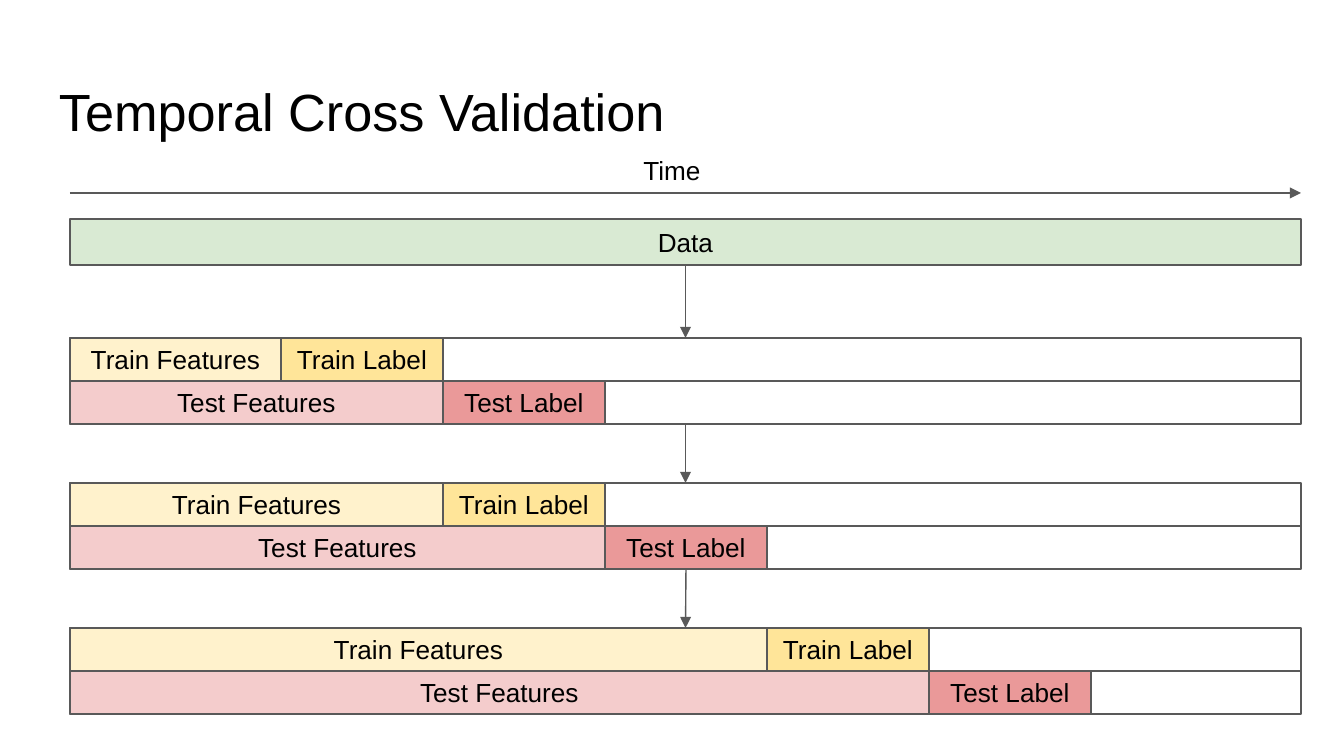
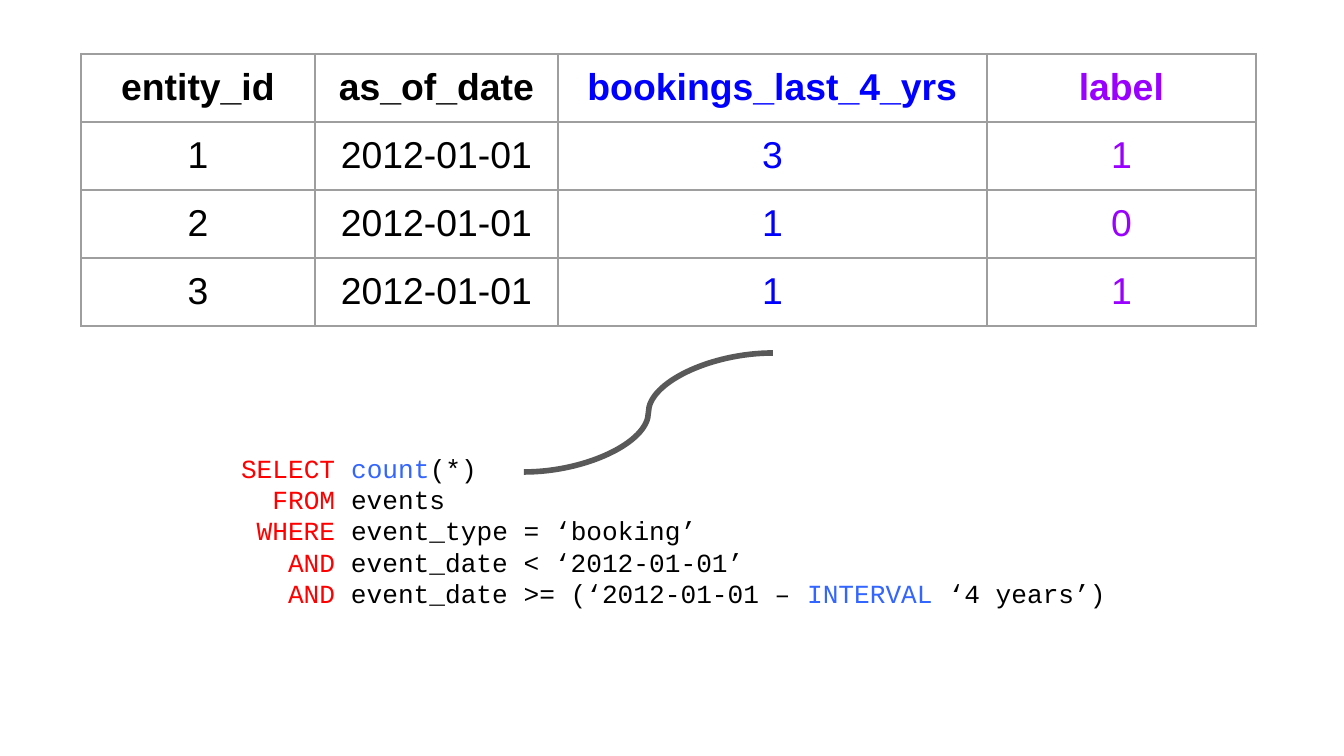
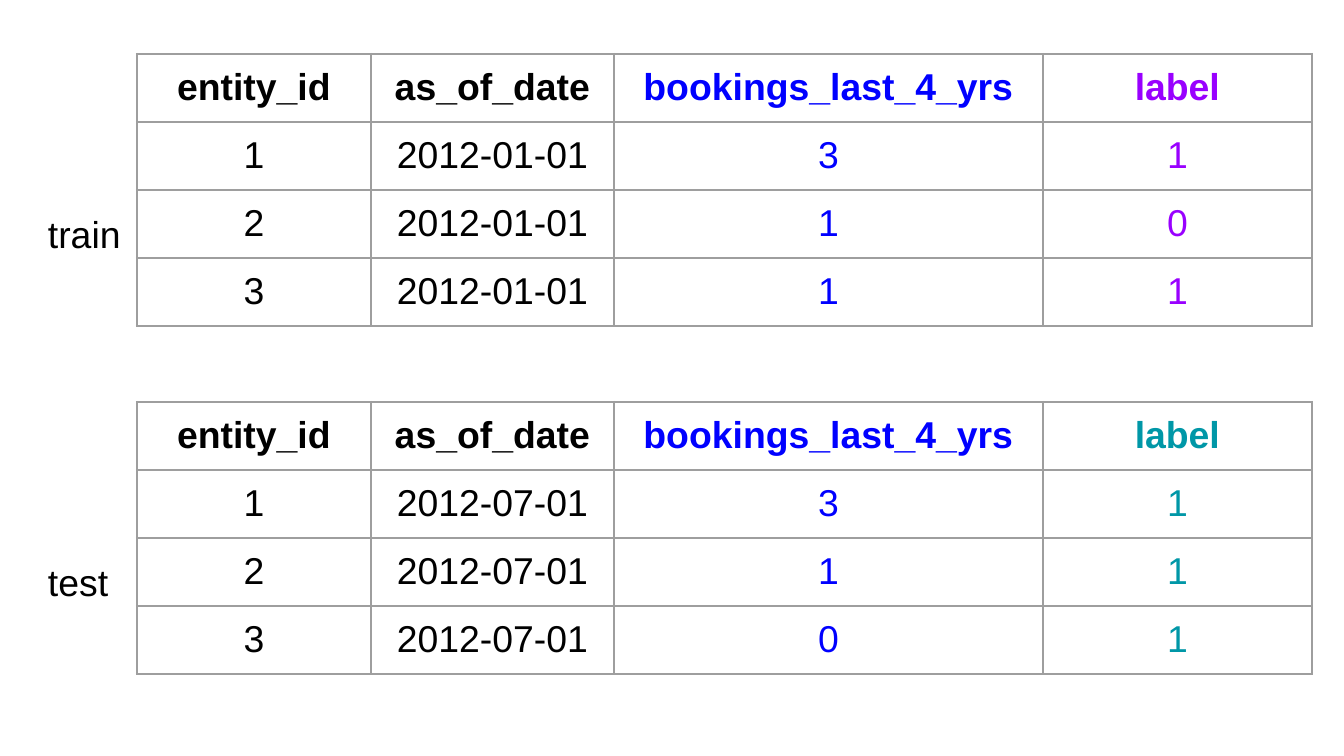
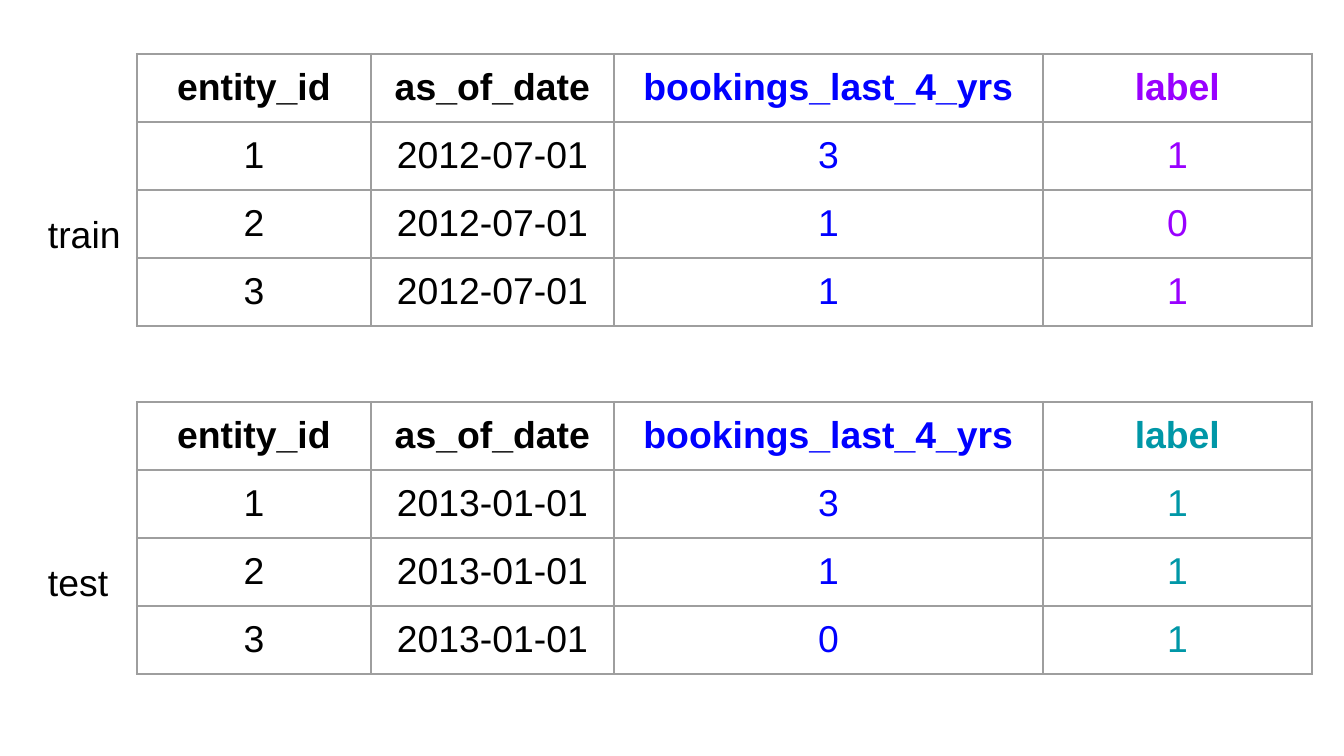
from pptx import Presentation
from pptx.dml.color import RGBColor
from pptx.enum.shapes import MSO_CONNECTOR as CONN, MSO_SHAPE as SHAPE
from pptx.enum.text import MSO_ANCHOR as ANCHOR, MSO_AUTO_SIZE as AUTO, PP_ALIGN as ALIGN
from pptx.oxml.ns import qn
from pptx.util import Pt
from lxml.etree import SubElement

PX = 914400 / 134.4
BLACK, WHITE, GRAY, BORDER = "000000", "FFFFFF", "595959", "9E9E9E"
BLUE, PURPLE, TEAL = "0000FF", "9900FF", "0097A7"
KEYWORD, FUNCTION = "FF0000", "3366FF"
DATA, TRAIN, TRAIN_LABEL = "D9EAD3", "FFF2CC", "FFE599"
TEST, TEST_LABEL = "F4CCCC", "EA9999"

INSET = 13
LEFT, WIDTH = 70, 1231
BAR_H, LABEL_W = 43, 162
FOLD_TOP, FOLD_STEP = 338, 145
LABEL_STARTS = [281, 443, 767]

COLUMNS = [("entity_id", 234), ("as_of_date", 243),
           ("bookings_last_4_yrs", 429), ("label", 269)]
ROW_H = 68
TABLE_TOPS = [54, 402]
TRAIN_ROWS = [(3, 1), (1, 0), (1, 1)]
TEST_ROWS = [(3, 1), (1, 1), (0, 1)]

CODE_SIZE = 14
CODE_CHAR = 0.6 * CODE_SIZE
QUERY = [
    ("SELECT", [("count", FUNCTION), ("(*)", BLACK)]),
    ("FROM", [("events", BLACK)]),
    ("WHERE", [("event_type = ‘booking’", BLACK)]),
    ("AND", [("event_date < ‘2012-01-01’", BLACK)]),
    ("AND", [("event_date >= (‘2012-01-01 – ", BLACK), ("INTERVAL", FUNCTION),
             (" ‘4 years’)", BLACK)]),
]


def emu(*lengths):
    return [round(v * PX) for v in lengths]


def rgb(color):
    return RGBColor.from_string(color)


def add_run(p, text, size=14, color=BLACK, bold=False, font="Arial"):
    r = p.add_run()
    r.text = text
    r.font.size, r.font.bold, r.font.name = Pt(size), bold, font
    r.font.color.rgb = rgb(color)


def set_frame(tf, anchor=ANCHOR.TOP, inset_y=INSET):
    tf.word_wrap = True
    tf.auto_size = AUTO.NONE
    tf.vertical_anchor = anchor
    tf.margin_left, tf.margin_right = emu(INSET, INSET)
    tf.margin_top, tf.margin_bottom = emu(inset_y, inset_y)


def write(tf, text, align=ALIGN.LEFT, anchor=ANCHOR.TOP, **fmt):
    set_frame(tf, anchor)
    p = tf.paragraphs[0]
    p.alignment = align
    add_run(p, text, **fmt)


def add_label(slide, text, x, y, w, h, **fmt):
    write(slide.shapes.add_textbox(*emu(x, y, w, h)).text_frame, text, **fmt)


def add_bar(slide, x, y, w, fill, text=None, h=BAR_H):
    sp = slide.shapes.add_shape(SHAPE.RECTANGLE, *emu(x, y, w, h))
    sp.shadow.inherit = False
    sp.fill.solid()
    sp.fill.fore_color.rgb = rgb(fill)
    sp.line.color.rgb = rgb(GRAY)
    sp.line.width = Pt(0.75)
    if text:
        write(sp.text_frame, text, align=ALIGN.CENTER, anchor=ANCHOR.MIDDLE)
    return sp


def add_line(slide, x1, y1, x2, y2, kind=CONN.STRAIGHT, width=0.75, arrow=True):
    line = slide.shapes.add_connector(kind, *emu(x1, y1, x2, y2))
    line.line.color.rgb = rgb(GRAY)
    line.line.width = Pt(width)
    if arrow:
        SubElement(line.line._get_or_add_ln(), qn("a:tailEnd"), type="triangle")
    SubElement(line._element.spPr, qn("a:effectLst"))
    return line


def join_down(slide, upper, lower):
    """Arrow from the bottom of one bar to the top of another."""
    line = add_line(slide, 0, 0, 0, 0)
    line.begin_connect(upper, 2)
    line.end_connect(lower, 0)


def set_borders(cell):
    tc_pr = cell._tc.get_or_add_tcPr()
    for side in ("lnL", "lnR", "lnT", "lnB"):
        ln = SubElement(tc_pr, qn(f"a:{side}"), w=str(Pt(1.5)))
        fill = SubElement(ln, qn("a:solidFill"))
        SubElement(fill, qn("a:srgbClr"), val=BORDER)


def add_matrix(slide, x, y, date, values, label_color):
    """Table of entities on one date, with a feature and a label column."""
    rows = [[name for name, _ in COLUMNS]]
    rows += [[str(i), date, str(count), str(label)]
             for i, (count, label) in enumerate(values, 1)]
    widths = [w for _, w in COLUMNS]
    table = slide.shapes.add_table(
        len(rows), len(widths), *emu(x, y, sum(widths), ROW_H * len(rows))).table
    table.first_row = table.horz_banding = False
    for col, w in zip(table.columns, emu(*widths)):
        col.width = w
    colors = [BLACK, BLACK, BLUE, label_color]
    for i, row in enumerate(rows):
        for j, text in enumerate(row):
            cell = table.cell(i, j)
            set_borders(cell)
            cell.fill.background()
            cell.margin_left, cell.margin_right = emu(INSET, INSET)
            cell.margin_top, cell.margin_bottom = emu(INSET, INSET)
            p = cell.text_frame.paragraphs[0]
            p.alignment = ALIGN.CENTER
            add_run(p, text, size=20, color=colors[j], bold=i == 0)


def add_query(slide, x, y, w, h):
    """SQL text whose keywords end at the same column."""
    tf = slide.shapes.add_textbox(*emu(x, y, w, h)).text_frame
    set_frame(tf, inset_y=7)
    longest = max(len(keyword) for keyword, _ in QUERY)
    for i, (keyword, parts) in enumerate(QUERY):
        p = tf.add_paragraph() if i else tf.paragraphs[0]
        indent = Pt((longest - len(keyword)) * CODE_CHAR)
        p._p.get_or_add_pPr().set("marL", str(indent))
        for text, color in [(keyword + " ", KEYWORD)] + parts:
            add_run(p, text, size=CODE_SIZE, color=color, font="Courier New")


def new_slide(prs, layout=6):
    return prs.slides.add_slide(prs.slide_layouts[layout])


def cross_validation_slide(prs):
    slide = new_slide(prs, layout=5)
    title = slide.shapes.title
    title.left, title.top, title.width, title.height = emu(46, 66, 1252, 84)
    write(title.text_frame, "Temporal Cross Validation", size=28)

    add_line(slide, LEFT, 193, LEFT + WIDTH, 193)
    add_label(slide, "Time", 611, 141, 122, 59, align=ALIGN.CENTER)
    source = add_bar(slide, LEFT, 219, WIDTH, DATA, "Data", h=46)

    for i, start in enumerate(LABEL_STARTS):
        top = FOLD_TOP + i * FOLD_STEP
        end = start + LABEL_W
        low = top + BAR_H
        upper = add_bar(slide, LEFT, top, WIDTH, WHITE)
        lower = add_bar(slide, LEFT, low, WIDTH, WHITE)
        add_bar(slide, LEFT, top, start - LEFT, TRAIN, "Train Features")
        add_bar(slide, start, top, LABEL_W, TRAIN_LABEL, "Train Label")
        add_bar(slide, LEFT, low, end - LEFT, TEST, "Test Features")
        test_label = add_bar(slide, end, low, LABEL_W, TEST_LABEL, "Test Label")
        join_down(slide, source, upper)
        source = test_label if i == 1 else lower


def feature_slide(prs):
    slide = new_slide(prs)
    add_matrix(slide, 81, TABLE_TOPS[0], "2012-01-01", TRAIN_ROWS, PURPLE)
    add_query(slide, 228, 445, 898, 172)
    add_line(slide, 773, 353, 524, 472, kind=CONN.CURVE, width=3, arrow=False)


def split_slide(prs, train_date, test_date):
    slide = new_slide(prs)
    parts = [("train", train_date, TRAIN_ROWS, PURPLE),
             ("test", test_date, TEST_ROWS, TEAL)]
    for top, (name, date, values, color) in zip(TABLE_TOPS, parts):
        add_matrix(slide, 137, top, date, values, color)
        add_label(slide, name, 35, top + 144, 102, 73, size=20)


def main():
    prs = Presentation()
    prs.slide_width, prs.slide_height = emu(1344, 756)
    cross_validation_slide(prs)
    feature_slide(prs)
    split_slide(prs, "2012-01-01", "2012-07-01")
    split_slide(prs, "2012-07-01", "2013-01-01")
    prs.save("out.pptx")


if __name__ == "__main__":
    main()
